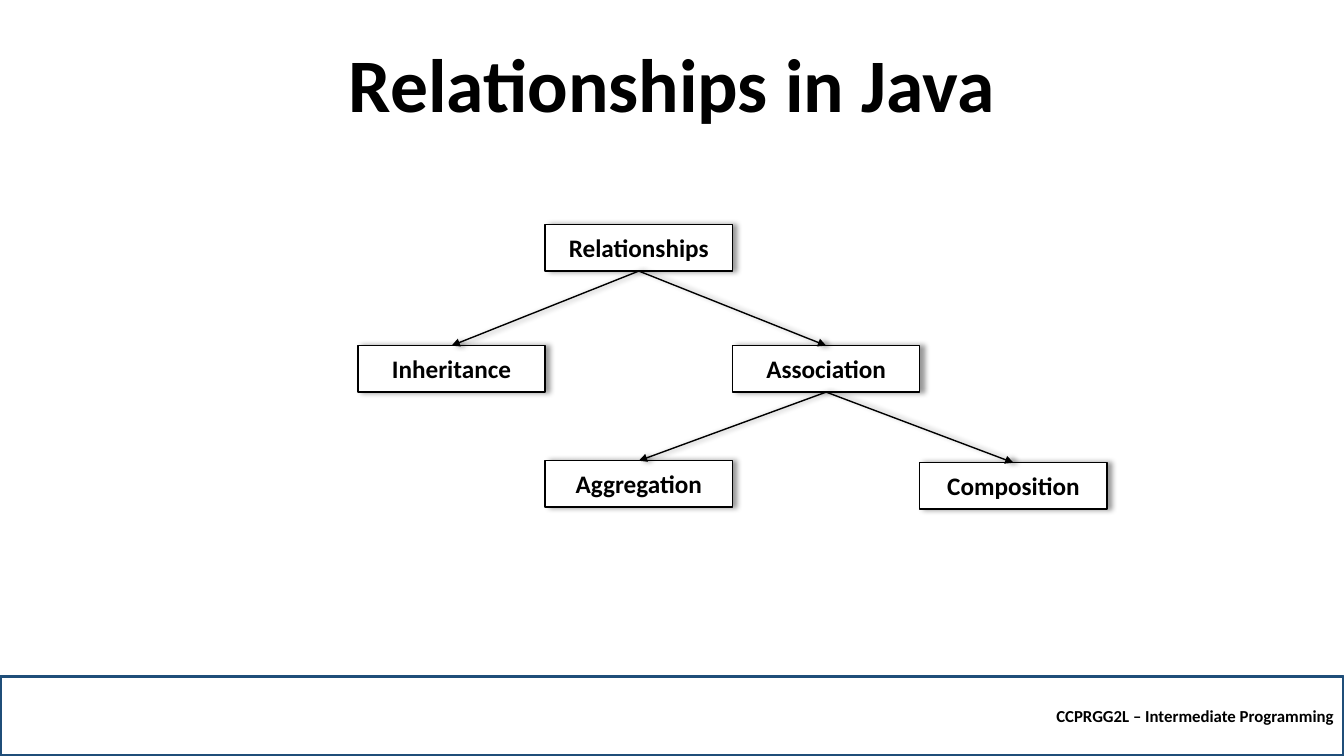
from dataclasses import dataclass

from lxml.etree import SubElement
from pptx import Presentation
from pptx.dml.color import RGBColor
from pptx.enum.shapes import MSO_CONNECTOR, MSO_SHAPE
from pptx.enum.text import MSO_ANCHOR, MSO_AUTO_SIZE, PP_ALIGN
from pptx.oxml.ns import qn
from pptx.util import Cm, Pt

SLIDE_WIDTH, SLIDE_HEIGHT = 33.87, 19.05
BOX_WIDTH, BOX_HEIGHT = 4.72, 1.17
TREE_LEFT = 9.02
BOTTOM, TOP = 2, 0

# name: (column, top in cm)
BOXES = {
    "Relationships": (1, 5.66),
    "Inheritance": (0, 8.71),
    "Association": (2, 8.71),
    "Aggregation": (1, 11.61),
    "Composition": (3, 11.66),
}
ARROWS = [
    ("Relationships", "Inheritance"),
    ("Relationships", "Association"),
    ("Association", "Aggregation"),
    ("Association", "Composition"),
]


@dataclass(frozen=True)
class Theme:
    font: str = "Calibri"
    ink: RGBColor = RGBColor(0x00, 0x00, 0x00)
    paper: RGBColor = RGBColor(0xFF, 0xFF, 0xFF)
    frame: RGBColor = RGBColor(0x1F, 0x4E, 0x79)
    title_size: int = 54
    box_size: int = 18
    footer_size: int = 12
    thin_line: float = 1
    frame_line: float = 2.25


class SlideBuilder:
    def __init__(self, slide, theme):
        self.slide = slide
        self.theme = theme

    def set_text(self, shape, text, size, alignment, anchor=MSO_ANCHOR.MIDDLE):
        frame = shape.text_frame
        frame.text = text
        frame.word_wrap = True
        frame.auto_size = MSO_AUTO_SIZE.NONE
        frame.vertical_anchor = anchor
        paragraph = frame.paragraphs[0]
        paragraph.alignment = alignment
        font = paragraph.runs[0].font
        font.name = self.theme.font
        font.size = Pt(size)
        font.bold = True
        font.color.rgb = self.theme.ink
        return paragraph

    def add_title(self, text, left, top, width, height):
        title = self.slide.shapes.title
        title.left, title.top = Cm(left), Cm(top)
        title.width, title.height = Cm(width), Cm(height)
        paragraph = self.set_text(title, text, self.theme.title_size,
                                  PP_ALIGN.CENTER, MSO_ANCHOR.BOTTOM)
        paragraph.line_spacing = 0.9

    def add_rectangle(self, left, top, width, height, color, line_width):
        shape = self.slide.shapes.add_shape(
            MSO_SHAPE.RECTANGLE, Cm(left), Cm(top), Cm(width), Cm(height))
        shape.fill.background()
        shape.line.color.rgb = color
        shape.line.width = Pt(line_width)
        shape.shadow.inherit = False
        return shape

    def add_footer(self, text, height):
        footer = self.add_rectangle(0, SLIDE_HEIGHT - height, SLIDE_WIDTH, height,
                                    self.theme.frame, self.theme.frame_line)
        self.set_text(footer, text, self.theme.footer_size, PP_ALIGN.RIGHT)

    def add_box(self, text, column, top):
        box = self.add_rectangle(TREE_LEFT + column * BOX_WIDTH, top, BOX_WIDTH,
                                 BOX_HEIGHT, self.theme.ink, self.theme.thin_line)
        box.fill.solid()
        box.fill.fore_color.rgb = self.theme.paper
        self.set_text(box, text, self.theme.box_size, PP_ALIGN.CENTER)
        self.cast_shadow(box)
        return box

    def add_arrow(self, parent, child):
        arrow = self.slide.shapes.add_connector(MSO_CONNECTOR.STRAIGHT, 0, 0, 0, 0)
        arrow.begin_connect(parent, BOTTOM)
        arrow.end_connect(child, TOP)
        arrow.line.color.rgb = self.theme.ink
        arrow.line.width = Pt(self.theme.thin_line)
        properties = arrow.element.spPr
        SubElement(properties.find(qn("a:ln")), qn("a:tailEnd"), type="triangle")
        SubElement(properties, qn("a:effectLst"))
        self.cast_shadow(arrow)

    def cast_shadow(self, shape):
        """Put a soft shadow to the right into the shape's empty effect list."""
        effects = shape.element.spPr.find(qn("a:effectLst"))
        shadow = SubElement(effects, qn("a:outerShdw"), blurRad=str(Pt(4)),
                            dist=str(Pt(3)), dir="0", algn="l", rotWithShape="0")
        color = SubElement(shadow, qn("a:srgbClr"), val=str(self.theme.ink))
        SubElement(color, qn("a:alpha"), val="40000")


def main():
    presentation = Presentation()
    presentation.slide_width = Cm(SLIDE_WIDTH)
    presentation.slide_height = Cm(SLIDE_HEIGHT)
    slide = presentation.slides.add_slide(presentation.slide_layouts[0])
    subtitle = slide.placeholders[1].element
    subtitle.getparent().remove(subtitle)

    builder = SlideBuilder(slide, Theme())
    builder.add_title("Relationships in Java", 4.23, 1.37, 25.4, 2)
    builder.add_footer("CCPRGG2L – Intermediate Programming", 2)
    boxes = {name: builder.add_box(name, *place) for name, place in BOXES.items()}
    for parent, child in ARROWS:
        builder.add_arrow(boxes[parent], boxes[child])
    presentation.save("out.pptx")


if __name__ == "__main__":
    main()
